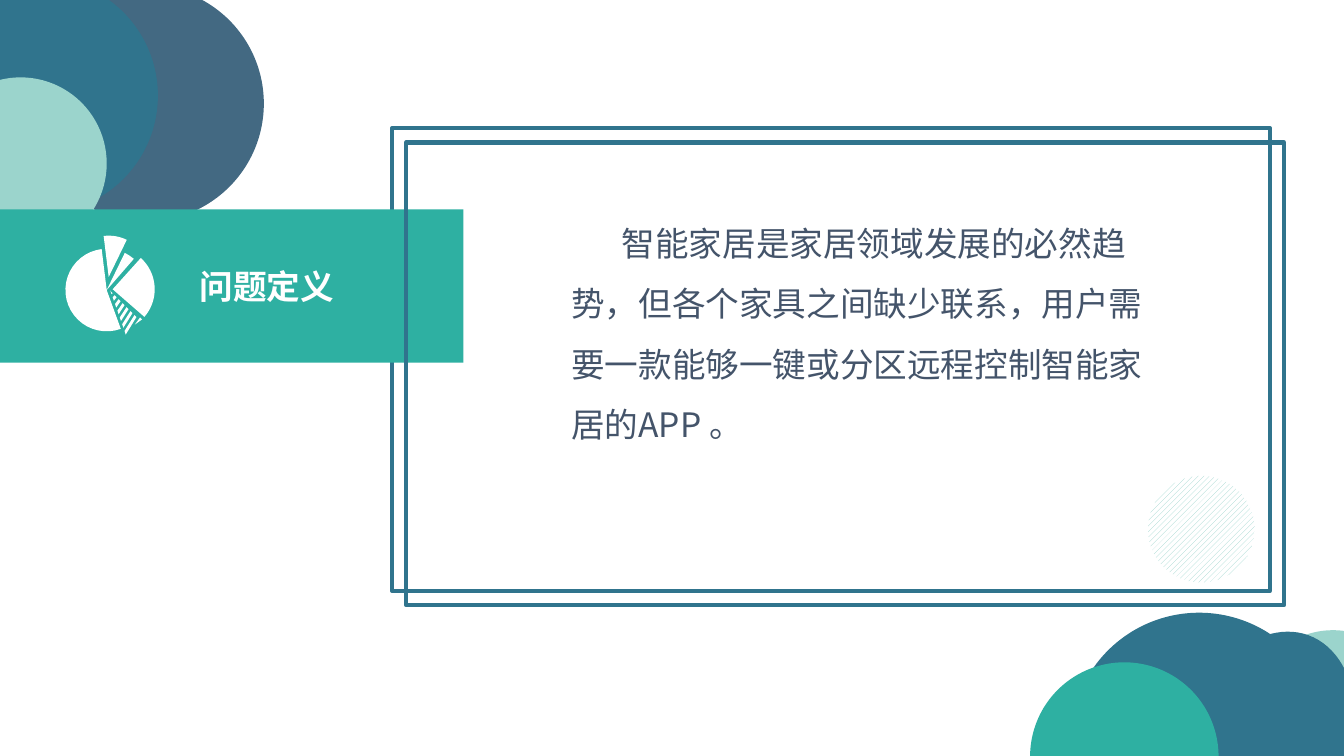
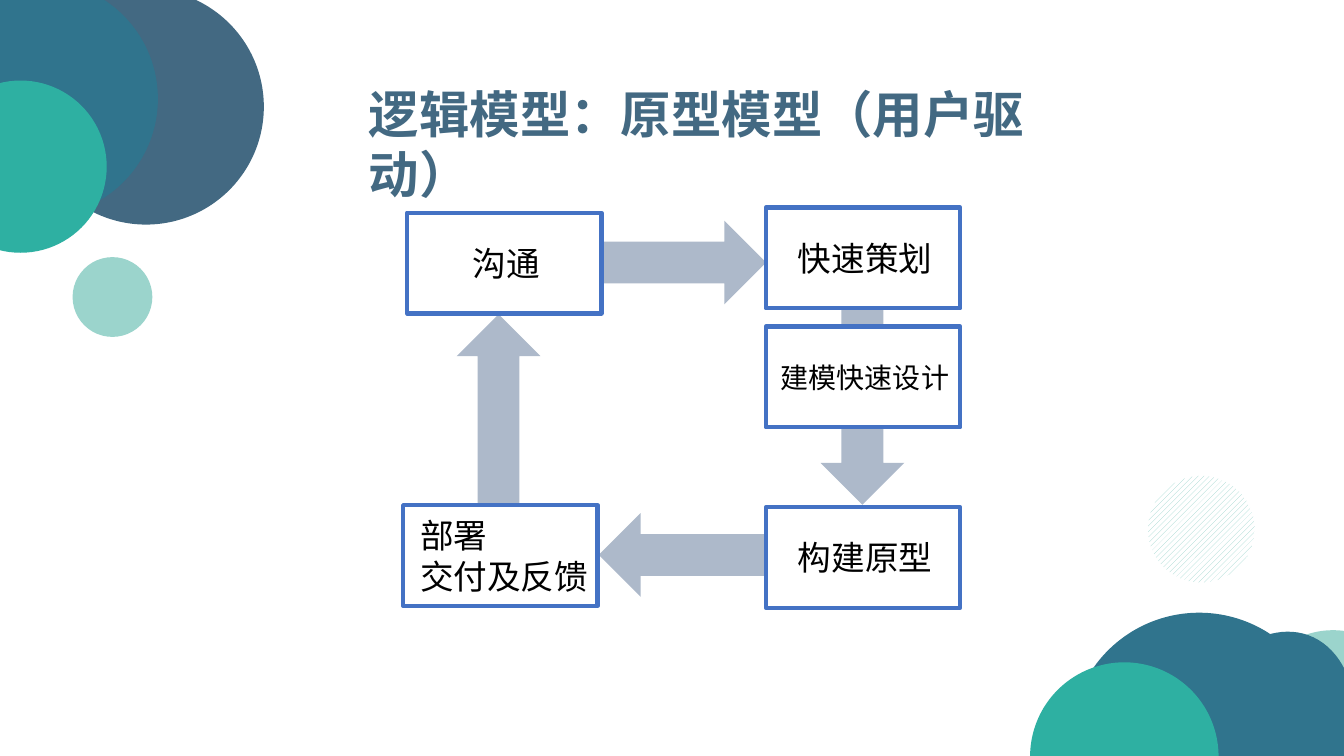
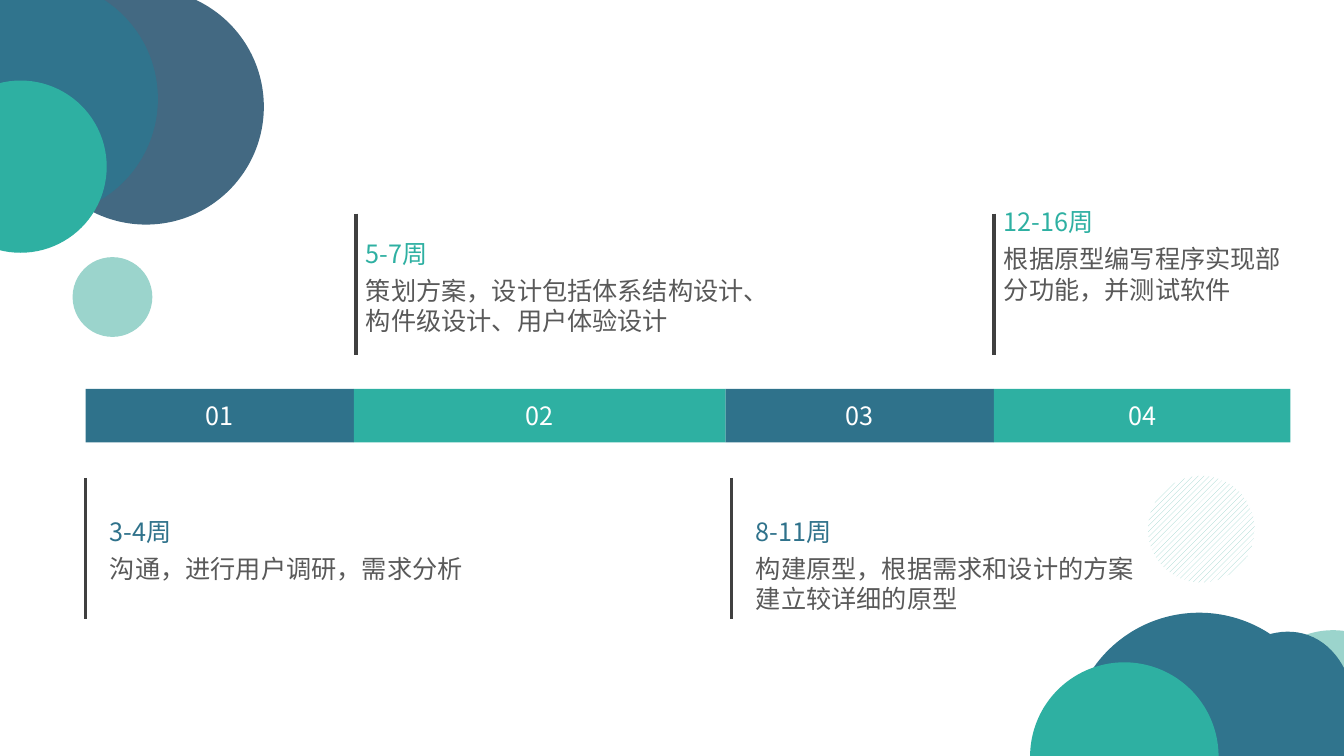
from math import cos, radians, sin

from lxml import etree
from pptx import Presentation
from pptx.dml.color import RGBColor
from pptx.enum.dml import MSO_PATTERN
from pptx.enum.shapes import MSO_CONNECTOR, MSO_SHAPE
from pptx.enum.text import MSO_ANCHOR, PP_ALIGN
from pptx.oxml.ns import qn
from pptx.util import Cm, Pt

RECTANGLE, OVAL = MSO_SHAPE.RECTANGLE, MSO_SHAPE.OVAL
RIGHT, DOWN = MSO_SHAPE.RIGHT_ARROW, MSO_SHAPE.DOWN_ARROW
LEFT, UP = MSO_SHAPE.LEFT_ARROW, MSO_SHAPE.UP_ARROW
STRAIGHT = MSO_CONNECTOR.STRAIGHT
STRIPES = MSO_PATTERN.WIDE_UPWARD_DIAGONAL
ALIGN_LEFT, ALIGN_CENTER = PP_ALIGN.LEFT, PP_ALIGN.CENTER
TOP, MIDDLE = MSO_ANCHOR.TOP, MSO_ANCHOR.MIDDLE

FONT = "Noto Sans CJK SC"
WHITE, BLACK = "FFFFFF", "000000"
BLUE, SLATE, TEAL, MINT = "30748D", "436982", "2EB0A2", "9BD4CC"
BAR_BLUE, NODE_LINE, ARROW = "2F728B", "4472C4", "ADB9CA"
BODY, DETAIL, MARKER = "44546A", "595959", "404040"


def color(value):
    """Turn a hex string into a colour."""
    return RGBColor.from_string(value)


def add_shape(slide, kind, box, fill=None, line=None):
    """Add a flat preset shape; box is left, top, width, height in cm."""
    shape = slide.shapes.add_shape(kind, *map(Cm, box))
    shape.shadow.inherit = False
    if fill:
        shape.fill.solid()
        shape.fill.fore_color.rgb = color(fill)
    else:
        shape.fill.background()
    if line:
        shape.line.color.rgb = color(line)
        shape.line.width = Pt(3)
    else:
        shape.line.fill.background()
    return shape


def style(paragraph, size, value, bold=False, align=ALIGN_LEFT):
    """Set the font and alignment of a whole paragraph."""
    paragraph.alignment = align
    font = paragraph.font
    font.name, font.size, font.bold = FONT, Pt(size), bold
    font.color.rgb = color(value)
    properties = paragraph._p.pPr.find(qn("a:defRPr"))
    etree.SubElement(properties, qn("a:ea"), typeface=FONT)


def write(shape, lines, size, value, bold=False, align=ALIGN_LEFT,
          anchor=TOP, left=0.25, right=0.25):
    """Fill a shape with paragraphs of one style and return its frame."""
    frame = shape.text_frame
    frame.word_wrap = True
    frame.vertical_anchor = anchor
    frame.margin_left, frame.margin_right = Cm(left), Cm(right)
    frame.text = "\n".join(lines)
    for paragraph in frame.paragraphs:
        style(paragraph, size, value, bold, align)
    return frame


def add_text(slide, box, lines, size, value, **options):
    """Add a text box and return its frame."""
    return write(slide.shapes.add_textbox(*map(Cm, box)), lines, size, value, **options)


def add_circle(slide, left, top, diameter, fill):
    """Add a plain circle."""
    return add_shape(slide, OVAL, (left, top, diameter, diameter), fill)


def draw_corners(slide, front=TEAL, top=0, dot=True):
    """Draw the circle clusters in the upper left and lower right corners."""
    if dot:
        add_circle(slide, 1.83, top + 6.48, 2.01, MINT)
    add_circle(slide, 0.71, top - 0.28, 5.94, SLATE)
    add_circle(slide, -1.96, top - 0.48, 5.94, BLUE)
    add_circle(slide, -1.65, top + 2.03, 4.34, front)

    add_circle(slide, 31.5, 15.88, 4.19, MINT)
    add_shape(slide, OVAL, (28.93, 16.74, 6.02, 4.19), BLUE).rotation = 110.1
    add_circle(slide, 26.97, 15.44, 6.5, BLUE)
    add_circle(slide, 25.96, 16.69, 4.75, TEAL)
    striped = add_circle(slide, 28.93, 11.99, 2.69, MINT)
    striped.fill.patterned()
    striped.fill.pattern = STRIPES
    striped.fill.fore_color.rgb = color(MINT)
    striped.fill.back_color.rgb = color(WHITE)


def sector(x, y, radius, start, end):
    """Return the outline of a pie sector, angles clockwise in degrees."""
    steps = 24
    angles = [radians(start + (end - start) * i / steps) for i in range(steps + 1)]
    return [(x, y)] + [(x + radius * cos(a), y + radius * sin(a)) for a in angles]


def draw_pie_icon(slide, left, top):
    """Draw an exploded pie with one hatched sector."""
    outlines = [
        sector(1.04, 1.37, 1.04, 70, 263),
        sector(1.09, 1.04, 1.04, 263, 296),
        sector(1.04, 1.37, 1.04, 296, 311),
        sector(1.19, 1.35, 1.06, 312, 401),
        [(1.88, 2.06), (1.93, 2.11), (1.75, 2.24)],
    ]
    for i in range(7):
        x, y = 1.13 + 0.06 * i, 1.38 + 0.17 * i
        far_x, far_y = 1.14 + 0.1 * i, 1.4 + 0.1 * i
        outlines.append([(x, y), (far_x, far_y),
                         (far_x + 0.05, far_y + 0.05), (x + 0.03, y + 0.09)])
    builder = slide.shapes.build_freeform()
    for outline in outlines:
        points = [(Cm(left + x), Cm(top + y)) for x, y in outline]
        builder.move_to(*points[0])
        builder.add_line_segments(points[1:], close=True)
    icon = builder.convert_to_shape()
    icon.shadow.inherit = False
    icon.fill.solid()
    icon.fill.fore_color.rgb = color(WHITE)
    icon.line.fill.background()


def draw_banner(slide, left, top, width, height, title):
    """Draw the section band with its icon and title."""
    band = add_shape(slide, RECTANGLE, (left, top, width, height), TEAL)
    draw_pie_icon(slide, left + 1.65, top + 0.66)
    write(band, [title], 24, WHITE, bold=True, anchor=MIDDLE, left=5.03)


def build_definition(slide):
    """Build the problem definition slide."""
    frame_box = (9.88, 3.23, 22.12, 11.66)
    add_shape(slide, RECTANGLE, frame_box, line=BLUE)
    draw_corners(slide, front=MINT, top=-0.08, dot=False)
    draw_banner(slide, 0, 5.28, 11.68, 3.86, "问题定义")
    text = add_text(
        slide, (14.15, 4.98, 15.24, 6.4),
        ["智能家居是家居领域发展的必然趋势，但各个家具之间缺少联系，"
         "用户需要一款能够一键或分区远程控制智能家居的APP 。"], 24, BODY)
    paragraph = text.paragraphs[0]
    paragraph.line_spacing = 1.5
    paragraph._p.pPr.set("indent", str(Cm(1.27)))
    left, top, width, height = frame_box
    add_shape(slide, RECTANGLE, (left + 0.36, top + 0.36, width, height), line=BLUE)


def draw_cycle(slide, left, top):
    """Draw the prototype cycle: arrows first, then the steps over them."""
    thick = 2.11
    arrows = [(RIGHT, 4.98, 0.33, 4.17, thick), (DOWN, 10.52, 2.54, thick, 4.95),
              (LEFT, 4.93, 7.7, 4.17, thick), (UP, 1.35, 2.69, thick, 4.75)]
    for kind, x, y, width, height in arrows:
        add_shape(slide, kind, (left + x, top + y, width, height), ARROW)

    steps = [(0.1, 0.13, 24, ["沟通"]), (9.14, 0, 24, ["快速策划"]),
             (9.14, 3, 20, ["建模快速设计"]), (9.14, 7.55, 24, ["构建原型"]),
             (0, 7.5, 24, ["部署", "交付及反馈"])]
    for x, y, size, lines in steps:
        step = add_shape(slide, RECTANGLE, (left + x, top + y, 4.9, 2.54), WHITE, NODE_LINE)
        several = len(lines) > 1
        write(step, lines, size, BLACK, anchor=MIDDLE,
              align=ALIGN_LEFT if several else ALIGN_CENTER,
              left=0.43 if several else 0.2, right=0.1)


def build_model(slide):
    """Build the logical model slide."""
    draw_corners(slide)
    add_text(slide, (9.12, 1.96, 19.3, 1.73), ["逻辑模型：原型模型（用户驱动）"],
             36, SLATE, bold=True, left=0.18, right=0.18)
    draw_cycle(slide, 10.16, 5.23)


def draw_marker(slide, x, top, length):
    """Draw a vertical marker line."""
    line = slide.shapes.add_connector(STRAIGHT, Cm(x), Cm(top), Cm(x), Cm(top + length))
    line.line.color.rgb = color(MARKER)
    line.line.width = Pt(2.25)
    etree.SubElement(line._element.spPr, qn("a:effectLst"))


def draw_timeline(slide, left, top):
    """Draw numbered bar segments with notes above and below in turn."""
    # segment width, marker shift, note top, note width, period, detail
    phases = [
        (6.76, 0, 3.08, 10.29, "3-4周", "沟通，进行用户调研，需求分析"),
        (9.37, 0.05, -3.93, 10.29, "5-7周",
         "策划方案，设计包括体系结构设计、构件级设计、用户体验设计"),
        (6.76, 0.15, 3.08, 10.29, "8-11周",
         "构建原型，根据需求和设计的方案建立较详细的原型"),
        (7.47, 0, -4.72, 7.7, "12-16周", "根据原型编写程序实现部分功能，并测试软件"),
    ]
    x = left
    for number, (width, shift, note_top, note_width, period, detail) in enumerate(phases, 1):
        below = number % 2 == 1
        accent = BAR_BLUE if below else TEAL
        segment = add_shape(slide, RECTANGLE, (x, top, width, 1.35), accent)
        write(segment, [f"{number:02}"], 18, WHITE, align=ALIGN_CENTER, anchor=MIDDLE)
        marker = x + shift
        draw_marker(slide, marker, top + (2.24 if below else -4.42), 3.57)
        note_left = marker + (0.36 if below else 0)
        note = add_text(slide, (note_left, top + note_top, note_width, 2.75),
                        [period, detail], 18, DETAIL)
        heading = note.paragraphs[0]
        heading.font.color.rgb = color(accent)
        heading.space_after = Pt(5)
        x += width


def build_schedule(slide):
    """Build the schedule slide."""
    draw_corners(slide)
    draw_timeline(slide, 2.16, 9.8)


presentation = Presentation()
presentation.slide_width, presentation.slide_height = Cm(33.87), Cm(19.05)
blank = presentation.slide_layouts[6]
for build in (build_definition, build_model, build_schedule):
    build(presentation.slides.add_slide(blank))
presentation.save("out.pptx")
